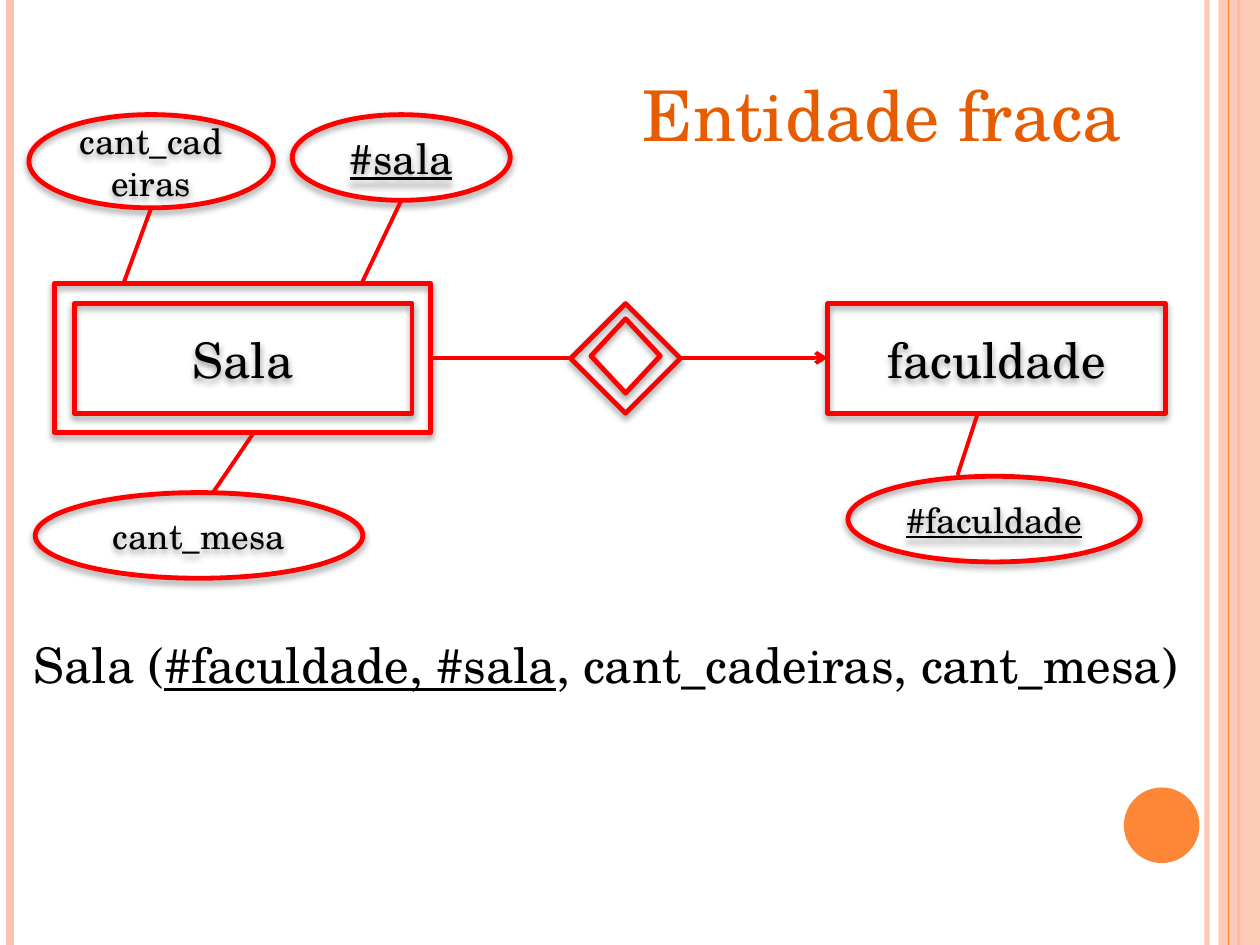
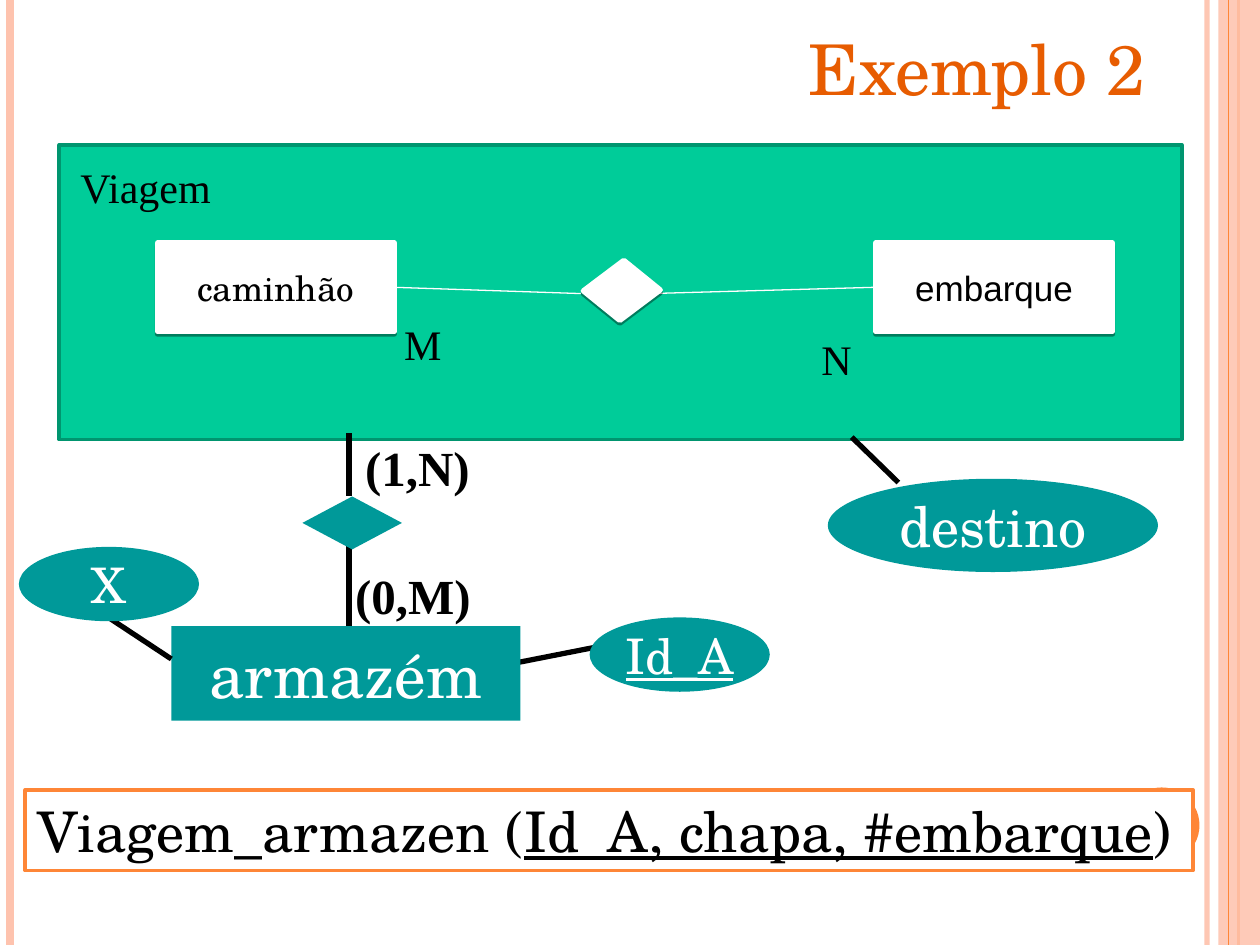
import pptx
import pptx.dml.color
import pptx.enum.shapes
import pptx.enum.text
import pptx.oxml
import pptx.oxml.ns
import pptx.util
import lxml.etree

Inches = pptx.util.Inches
Pt = pptx.util.Pt
Shape = pptx.enum.shapes.MSO_SHAPE
Align = pptx.enum.text.PP_ALIGN
Anchor = pptx.enum.text.MSO_ANCHOR
qn = pptx.oxml.ns.qn

SCHOOL = "TeX Gyre Schola"
TIMES = "Times New Roman"
BLACK, WHITE, RED = "000000", "FFFFFF", "FF0000"
ORANGE, PEACH, TITLE_ORANGE = "FE8637", "FEC3AE", "E75C01"
GREEN, DARK_GREEN, TEAL = "00CC99", "00956F", "009999"
SOFT_SHADOW = (40, 4, 2)
HARD_SHADOW = (38, 0, 1.6)


def rgb(color):
    return pptx.dml.color.RGBColor.from_string(color)


def add_child(parent, tag, **attributes):
    child = lxml.etree.SubElement(parent, qn(tag))
    for name, value in attributes.items():
        child.set(name, str(value))
    return child


def set_opacity(properties, percent):
    for color in properties.iter(qn("a:srgbClr")):
        add_child(color, "a:alpha", val=percent * 1000)


class Diagram:
    def __init__(self):
        self.deck = pptx.Presentation()
        self.deck.slide_width = Inches(10)
        self.deck.slide_height = Inches(7.5)
        self.page = None

    def start_page(self, title, left, top, width):
        self.page = self.deck.slides.add_slide(self.deck.slide_layouts[5])
        self.bands()
        box = self.page.shapes.title
        box.left, box.top = Inches(left), Inches(top)
        box.width, box.height = Inches(width), Inches(0.77)
        box.text_frame.auto_size = pptx.enum.text.MSO_AUTO_SIZE.NONE
        box.text_frame.vertical_anchor = Anchor.TOP
        self.set_text(box, title, 40, TITLE_ORANGE, align=Align.LEFT)

    def bands(self):
        self.line(9.58, 0, 9.58, 7.5, PEACH, 3, opacity=93)
        self.line(0.08, 0, 0.08, 7.5, PEACH, 4.5)
        self.line(9.83, 0, 9.83, 7.5, ORANGE, 1.5)
        self.shape(Shape.RECTANGLE, 9.67, 0, 0.33, 7.5, fill=PEACH, opacity=87)
        self.line(9.75, 0, 9.75, 7.5, ORANGE, 0.75)
        self.shape(Shape.OVAL, 8.92, 6.25, 0.6, 0.6, fill=ORANGE)

    def set_text(self, box, text, size, color=BLACK, font=SCHOOL, align=Align.CENTER,
                 underlined=None, bold=False, wrap=False):
        frame = box.text_frame
        frame.word_wrap = wrap
        para = frame.paragraphs[0]
        para.alignment = align
        for index, part in enumerate([text] if isinstance(text, str) else text):
            span = para.add_run()
            span.text = part
            span.font.size = Pt(size)
            span.font.name = font
            span.font.color.rgb = rgb(color)
            span.font.bold = bold
            span.font.underline = index == underlined

    def label(self, text, left, top, width, height, size, **style):
        box = self.page.shapes.add_textbox(
            Inches(left), Inches(top), Inches(width), Inches(height))
        self.set_text(box, text, size, align=Align.LEFT, **style)

    def shape(self, kind, left, top, width, height, fill=None, edge=None, weight=1,
              shadow=None, opacity=None):
        box = self.page.shapes.add_shape(
            kind, Inches(left), Inches(top), Inches(width), Inches(height))
        if fill:
            box.fill.solid()
            box.fill.fore_color.rgb = rgb(fill)
        else:
            box.fill.background()
        if edge:
            box.line.color.rgb = rgb(edge)
            box.line.width = Pt(weight)
        else:
            box.line.fill.background()
        box.shadow.inherit = False
        properties = box._element.spPr
        if opacity:
            set_opacity(properties, opacity)
        if shadow:
            strength, blur, distance = shadow
            cast = add_child(properties.find(qn("a:effectLst")), "a:outerShdw",
                             blurRad=Pt(blur), dist=Pt(distance), dir=5400000,
                             rotWithShape=0)
            add_child(cast, "a:srgbClr", val=BLACK)
            set_opacity(cast, strength)
        return box

    def line(self, x1, y1, x2, y2, color, weight, arrow=False, opacity=None):
        link = self.page.shapes.add_connector(
            pptx.enum.shapes.MSO_CONNECTOR.STRAIGHT,
            Inches(x1), Inches(y1), Inches(x2), Inches(y2))
        link.line.color.rgb = rgb(color)
        link.line.width = Pt(weight)
        properties = link._element.spPr
        if opacity:
            set_opacity(properties, opacity)
        if arrow:
            add_child(properties.find(qn("a:ln")), "a:tailEnd", type="arrow")
        add_child(properties, "a:effectLst")

    def outlined(self, kind, left, top, width, height, text=None, size=20, underlined=None):
        box = self.shape(kind, left, top, width, height, edge=RED, weight=2.75,
                         shadow=SOFT_SHADOW)
        if text:
            self.set_text(box, text, size, underlined=underlined, wrap=True)

    def solid(self, kind, left, top, width, height, text=None, size=28, underlined=None):
        box = self.shape(kind, left, top, width, height, fill=TEAL)
        if text:
            self.set_text(box, text, size, WHITE, underlined=underlined)

    def white(self, kind, left, top, width, height):
        return self.shape(kind, left, top, width, height, fill=WHITE, edge=WHITE,
                          weight=3, shadow=HARD_SHADOW)


def weak_entity(diagram):
    diagram.start_page("Entidade fraca", 5, 0.52, 4.05)

    diagram.outlined(Shape.RECTANGLE, 0.43, 2.25, 2.99, 1.18)
    diagram.outlined(Shape.RECTANGLE, 0.59, 2.41, 2.68, 0.87, "Sala", 28)
    diagram.outlined(Shape.DIAMOND, 4.69, 2.53, 0.55, 0.59)
    diagram.outlined(Shape.DIAMOND, 4.53, 2.41, 0.87, 0.87)
    diagram.outlined(Shape.RECTANGLE, 6.57, 2.41, 2.68, 0.87, "faculdade", 28)

    diagram.outlined(Shape.OVAL, 0.23, 0.91, 1.94, 0.74, "cant_cadeiras")
    diagram.outlined(Shape.OVAL, 2.32, 0.91, 1.73, 0.68, "#sala", 24, underlined=0)
    diagram.outlined(Shape.OVAL, 0.28, 3.91, 2.6, 0.68, "cant_mesa")
    diagram.outlined(Shape.OVAL, 6.73, 3.78, 2.32, 0.68, "#faculdade", underlined=0)

    attribute_links = [(1.2, 1.65, 0.98, 2.25), (3.19, 1.58, 2.87, 2.25),
                       (2.01, 3.44, 1.69, 3.91), (7.76, 3.28, 7.6, 3.77)]
    for ends in attribute_links:
        diagram.line(*ends, RED, 2.25)
    diagram.line(3.43, 2.84, 4.53, 2.84, RED, 2.25)
    diagram.line(5.39, 2.84, 6.57, 2.84, RED, 2.25, arrow=True)

    relation = ("Sala (", "#faculdade, #sala", ", cant_cadeiras, cant_mesa)")
    diagram.label(relation, 0.17, 4.99, 9.4, 0.57, 28, underlined=1)


def second_example(diagram):
    diagram.start_page("Exemplo 2", 6.32, 0.15, 2.94)

    diagram.line(4.71, 5.14, 4.1, 5.26, BLACK, 3)
    diagram.line(2.77, 4.3, 2.77, 4.97, BLACK, 3)

    diagram.shape(Shape.RECTANGLE, 0.47, 1.15, 8.91, 2.34, GREEN, DARK_GREEN, 2)
    for left, text, font in [(1.25, "caminhão", SCHOOL), (6.95, "embarque", "Arial")]:
        entity = diagram.white(Shape.RECTANGLE, left, 1.93, 1.88, 0.7)
        diagram.set_text(entity, text, 20, font=font, wrap=True)
    diagram.line(5.16, 2.33, 6.95, 2.28, WHITE, 0.75)
    diagram.line(4.61, 2.33, 3.12, 2.28, WHITE, 0.75)
    relationship = diagram.white(Shape.PARALLELOGRAM, 4.7, 2.11, 0.47, 0.39)
    relationship.adjustments[0] = 0.25
    relationship.rotation = 39

    diagram.label("Viagem", 0.54, 1.23, 1.24, 0.51, 24, font=TIMES)
    diagram.label("M", 3.11, 2.48, 0.49, 0.5, 24, font=TIMES)
    diagram.label("N", 6.42, 2.6, 0.44, 0.5, 24, font=TIMES)

    relation = diagram.shape(Shape.RECTANGLE, 0.2, 6.27, 9.27, 0.64, WHITE, ORANGE, 2)
    relation.text_frame.vertical_anchor = Anchor.TOP
    diagram.set_text(relation, ("Viagem_armazen (", "Id_A, chapa, #embarque", ")"), 32,
                     align=Align.LEFT, underlined=1)

    diagram.solid(Shape.OVAL, 6.57, 3.8, 2.62, 0.74, "destino", 32)
    diagram.line(7.13, 3.83, 6.76, 3.47, BLACK, 3)
    diagram.solid(Shape.DIAMOND, 2.4, 3.94, 0.79, 0.42)
    diagram.solid(Shape.RECTANGLE, 1.36, 4.97, 2.77, 0.75, "armazém", 36)
    diagram.line(2.77, 3.44, 2.77, 3.94, BLACK, 3)
    for text, left, top in [("(0,M)", 2.72, 4.44), ("(1,N)", 2.8, 3.42)]:
        diagram.label(text, left, top, 1.17, 0.57, 28, font=TIMES, bold=True, wrap=True)
    diagram.solid(Shape.OVAL, 4.68, 4.9, 1.43, 0.59, "Id_A", underlined=0)
    diagram.line(1.36, 5.23, 0.86, 4.9, BLACK, 3)
    diagram.solid(Shape.OVAL, 0.15, 4.34, 1.43, 0.59, "X")


def main():
    diagram = Diagram()
    weak_entity(diagram)
    second_example(diagram)
    diagram.deck.save("out.pptx")


if __name__ == "__main__":
    main()
